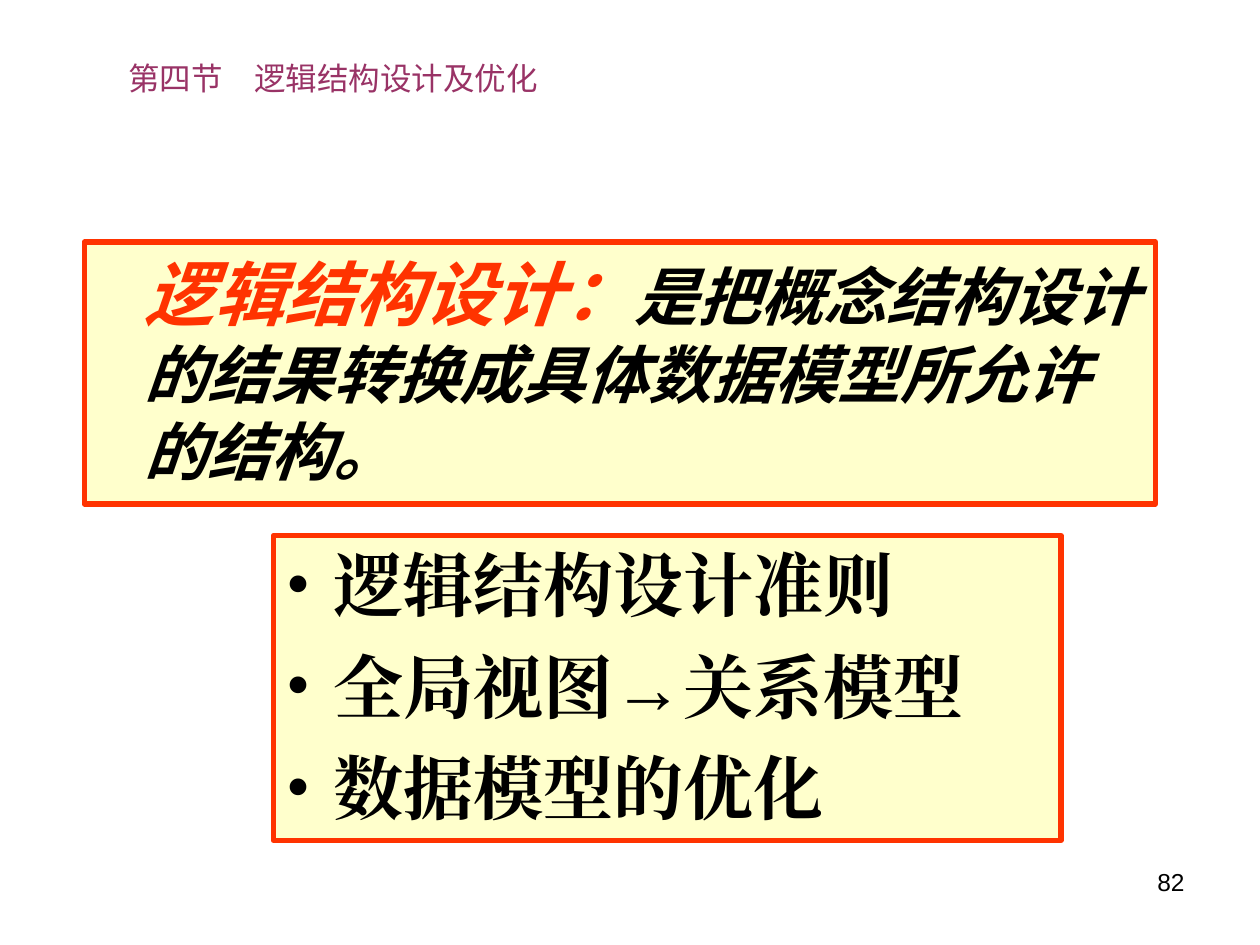
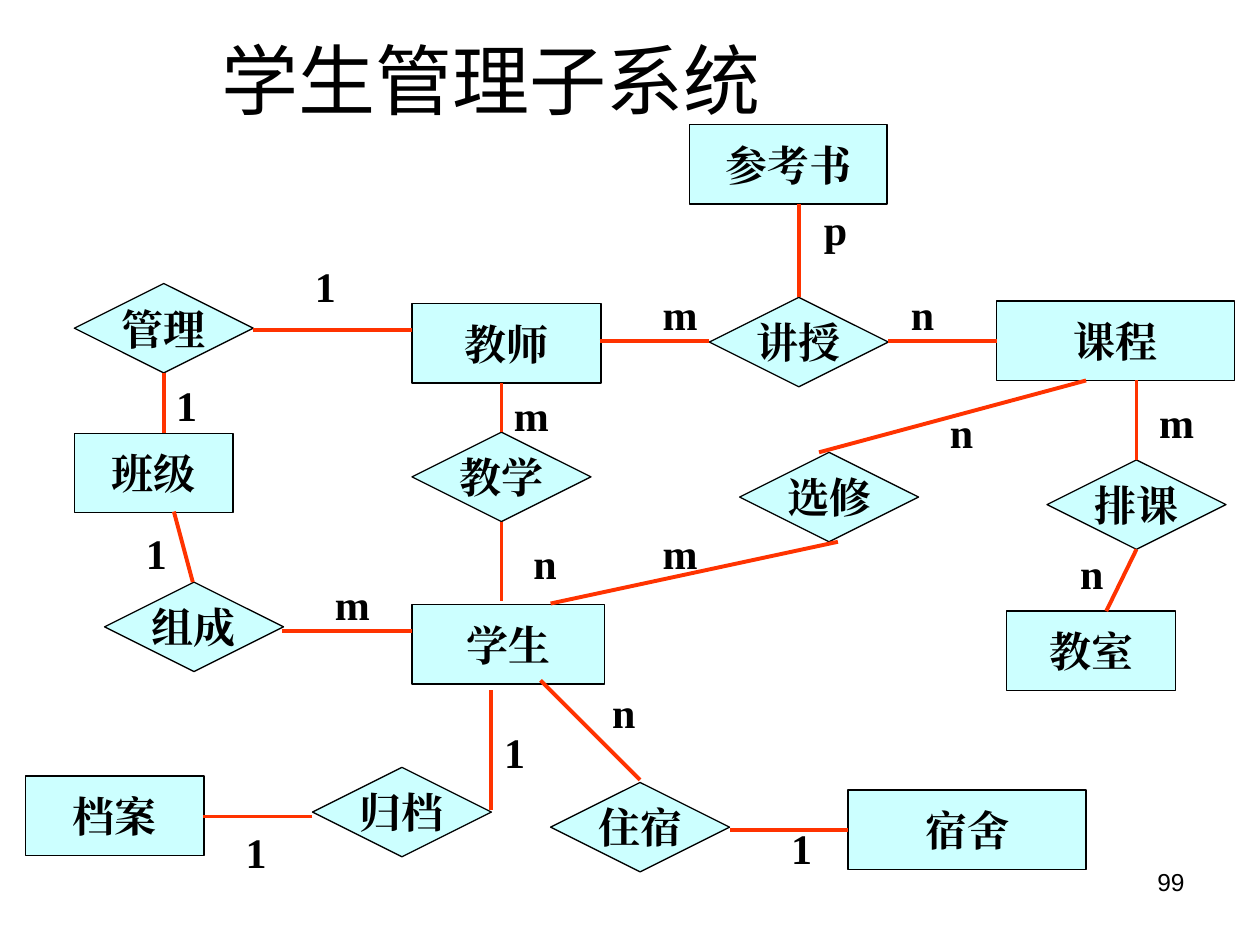
from lxml import etree
from pptx import Presentation
from pptx import util as u
from pptx.dml.color import RGBColor
from pptx.enum import shapes, text
from pptx.oxml import ns

HUES = {"ink": "000000", "red": "FF3300", "cream": "FFFFCC",
        "aqua": "CCFFFF", "plum": "993366"}
SERIF, SANS, CJK = "Times New Roman", "Arial", "Noto Sans CJK JP"
RECT = shapes.MSO_SHAPE.RECTANGLE
GEM = shapes.MSO_SHAPE.FLOWCHART_DECISION
LEFT, MID, RIGHT = text.PP_ALIGN.LEFT, text.PP_ALIGN.CENTER, text.PP_ALIGN.RIGHT

ROOMS = [("学生", 3.27, 4.8, 1.53), ("教师", 3.27, 2.41, 1.5),
         ("宿舍", 6.73, 6.27, 1.89), ("班级", 0.59, 3.44, 1.26),
         ("档案", 0.2, 6.16, 1.42), ("教室", 7.99, 4.85, 1.34),
         ("参考书", 5.47, 0.99, 1.57), ("课程", 7.91, 2.39, 1.89)]
GEMS = [("教学", 3.27, 3.43), ("组成", 0.83, 4.62), ("住宿", 4.37, 6.21),
        ("归档", 2.48, 6.09), ("讲授", 5.63, 2.36), ("选修", 5.87, 3.59),
        ("排课", 8.31, 3.65), ("管理", 0.59, 2.25)]
LINKS = [(2.48, 6.48, 1.61, 6.48), (3.9, 5.48, 3.9, 6.43),
         (4.29, 5.4, 5.08, 6.19), (5.79, 6.59, 6.73, 6.59),
         (3.98, 3.04, 3.98, 3.43), (3.98, 4.14, 3.98, 4.77),
         (6.34, 1.62, 6.34, 2.36), (8.62, 3.02, 6.5, 3.59),
         (4.76, 2.71, 5.63, 2.71), (7.05, 2.71, 7.91, 2.71),
         (9.02, 3.02, 9.02, 3.65), (9.02, 4.36, 8.78, 4.85),
         (6.65, 4.3, 4.37, 4.79), (1.38, 4.06, 1.53, 4.62),
         (3.27, 5.01, 2.24, 5.01), (3.27, 2.62, 2.01, 2.62),
         (1.3, 2.96, 1.3, 3.44)]
MARKS = [("m", 3.98, 3.04, 0.32), ("n", 4.13, 4.22, 0.39),
         ("n", 4.76, 5.4, 0.32), ("1", 6.18, 6.48, 0.32),
         ("1", 3.82, 5.72, 0.53), ("1", 1.85, 6.51, 0.32),
         ("m", 9.1, 3.1, 0.32), ("p", 6.44, 1.57, 0.32),
         ("n", 7.13, 2.24, 0.32), ("m", 5.16, 2.24, 0.32),
         ("n", 7.44, 3.18, 0.32), ("n", 8.47, 4.3, 0.39),
         ("m", 5.16, 4.14, 0.32), ("m", 2.56, 4.54, 0.32),
         ("1", 1.06, 4.14, 0.32), ("1", 2.4, 2.02, 0.32),
         ("1", 1.3, 2.96, 0.32)]


def hue(name):
    """Give the named colour."""
    return RGBColor.from_string(HUES[name])


def inch(box):
    """Turn a row of numbers into lengths."""
    return [u.Inches(n) for n in box]


def add(para, words, size=24, font=SERIF, ink="ink", bold=False, slant=False):
    """Add a run of words with its format."""
    run = para.add_run()
    run.text = words
    face = run.font
    face.size, face.name, face.bold, face.italic = u.Pt(size), font, bold, slant
    face.color.rgb = hue(ink)
    etree.SubElement(run._r.get_or_add_rPr(), ns.qn("a:ea")).set("typeface", font)


def setup(shape, align=LEFT, wrap=True, mid=False):
    """Set the text frame and return its first paragraph."""
    frame = shape.text_frame
    frame.word_wrap = wrap
    anchor = text.MSO_ANCHOR
    frame.vertical_anchor = anchor.MIDDLE if mid else anchor.TOP
    frame.paragraphs[0].alignment = align
    return frame.paragraphs[0]


def label(slide, box, words, align=MID, wrap=True, mid=False, **style):
    """Place a text box."""
    add(setup(slide.shapes.add_textbox(*inch(box)), align, wrap, mid), words, **style)


def block(slide, box, kind=RECT, fill="aqua", edge="ink", width=0.75):
    """Place a filled, outlined shape."""
    shape = slide.shapes.add_shape(kind, *inch(box))
    shape.shadow.inherit = False
    shape.fill.solid()
    shape.fill.fore_color.rgb = hue(fill)
    shape.line.color.rgb = hue(edge)
    shape.line.width = u.Pt(width)
    return shape


def panel(slide, box):
    """Place a cream panel with a red edge."""
    return block(slide, box, fill="cream", edge="red", width=3)


def node(slide, box, words, kind=RECT):
    """Place an entity or relation with its name."""
    add(setup(block(slide, box, kind), MID, False, True), words, bold=True)


def link(slide, ends):
    """Draw a red line between two points."""
    line = slide.shapes.add_connector(shapes.MSO_CONNECTOR.STRAIGHT, *inch(ends))
    line.line.color.rgb = hue("red")
    line.line.width = u.Pt(2.25)
    etree.SubElement(line._element.spPr, ns.qn("a:effectLst"))


def hang(para, first, dot=False):
    """Indent a paragraph and give it a bullet if asked."""
    props = para._p.get_or_add_pPr()
    props.set("marL", str(u.Inches(0.38)))
    props.set("indent", str(u.Inches(first)))
    if dot:
        tint = etree.SubElement(props, ns.qn("a:buClr"))
        etree.SubElement(tint, ns.qn("a:srgbClr")).set("val", HUES["ink"])
        etree.SubElement(props, ns.qn("a:buFont")).set("typeface", SERIF)
        etree.SubElement(props, ns.qn("a:buChar")).set("char", "•")


def define(slide, box):
    """Write the definition panel."""
    shape = panel(slide, box)
    para = setup(shape)
    shape.text_frame.margin_top = u.Inches(0.12)
    para.line_spacing = u.Pt(44)
    hang(para, 0)
    style = dict(font=SANS, bold=True, slant=True)
    add(para, "逻辑结构设计：", size=40, ink="red", **style)
    add(para, "是把概念结构设计的结果转换成具体数据模型所允许的结构。", size=36, **style)


def topics(slide, box, items):
    """Write the bulleted panel."""
    shape = panel(slide, box)
    para = setup(shape)
    for i, item in enumerate(items):
        if i:
            para = shape.text_frame.add_paragraph()
            para.alignment = LEFT
            para.space_before = u.Pt(10)
        para.line_spacing = u.Pt(48)
        hang(para, -0.38, dot=True)
        add(para, item, size=40, bold=True)


def chart(slide, left, top):
    """Draw the entity and relation diagram from its top left corner."""
    for name, x, y, w in ROOMS:
        node(slide, (left + x, top + y, w, 0.63), name)
    for name, x, y in GEMS:
        node(slide, (left + x, top + y, 1.42, 0.71), name, GEM)
    for a, b, c, d in LINKS:
        link(slide, (left + a, top + b, left + c, top + d))
    for mark, x, y, w in MARKS:
        label(slide, (left + x, top + y, w, 0.5), mark, bold=True)


def page(deck, number):
    """Add a blank slide with its number."""
    slide = deck.slides.add_slide(deck.slide_layouts[6])
    label(slide, (7.17, 6.83, 2.33, 0.52), number, align=RIGHT, size=14, font=SANS)
    return slide


def main():
    """Build and save both slides."""
    deck = Presentation()
    deck.slide_width, deck.slide_height = inch((10, 7.5))
    intro = page(deck, "82")
    define(intro, (0.67, 1.92, 8.5, 2.08))
    label(intro, (0.92, 0.42, 6.5, 1.13), "第四节　逻辑结构设计及优化",
          align=LEFT, wrap=False, size=18, font=CJK, ink="plum")
    topics(intro, (2.17, 4.25, 6.25, 2.42),
           ["逻辑结构设计准则", "全局视图→关系模型", "数据模型的优化"])
    model = page(deck, "99")
    label(model, (-0.35, 0, 8.5, 1.25), "学生管理子系统",
          mid=True, size=44, font=SANS)
    chart(model, 0, 0)
    deck.save("out.pptx")


if __name__ == "__main__":
    main()
